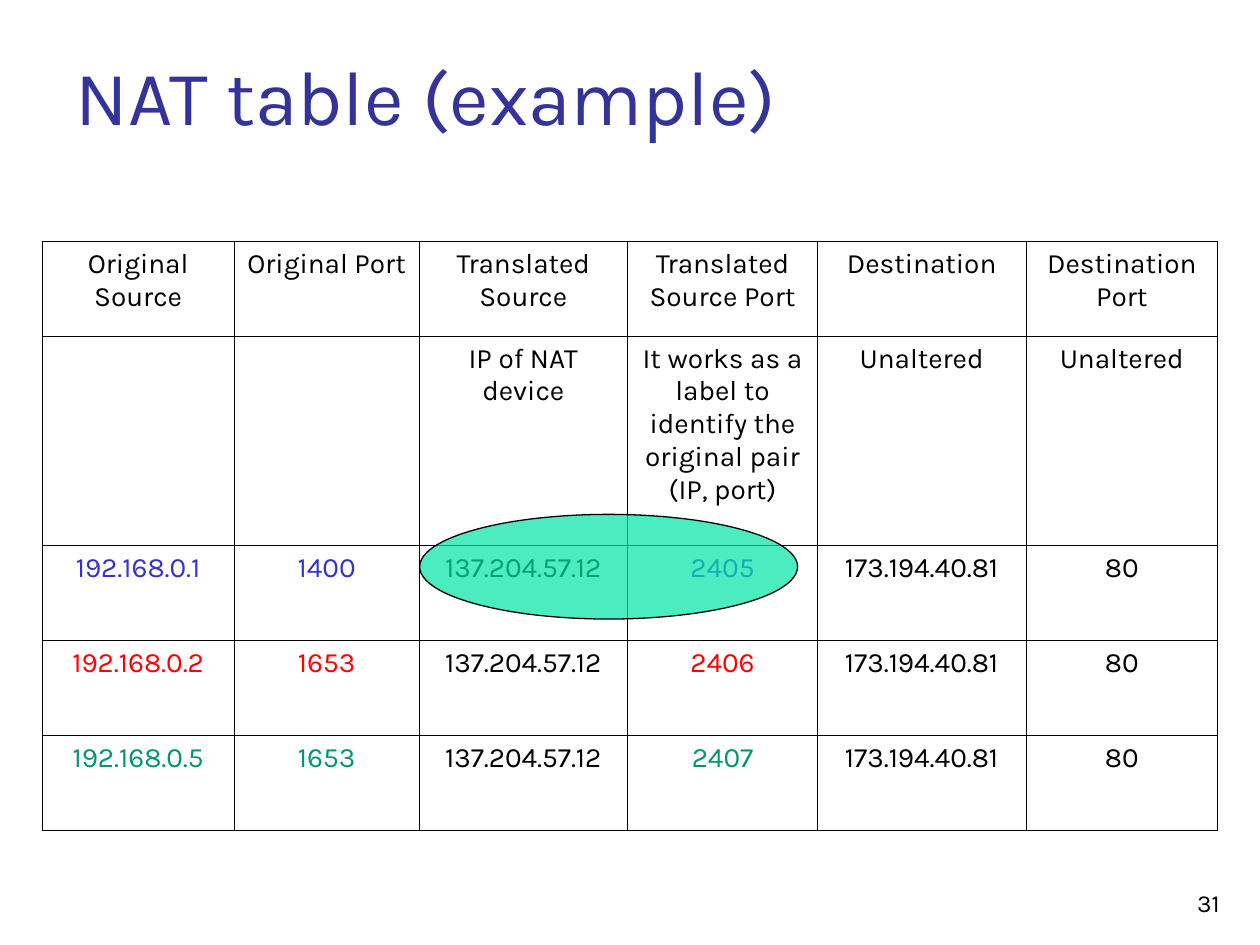
import pptx
import pptx.util
import pptx.dml.color
import pptx.enum.shapes
import pptx.enum.text
import pptx.oxml
import pptx.oxml.ns
from lxml import etree
from pptx.util import Cm

COLORS = {
    "title": "333399",
    "text": "000000",
    "blue": "3333CC",
    "red": "FF0000",
    "green": "00966F",
    "highlight": "00E4A8",
}
ALIGN = pptx.enum.text.PP_ALIGN
ANCHOR = pptx.enum.text.MSO_ANCHOR


def rgb(name):
    return pptx.dml.color.RGBColor.from_string(COLORS[name])


def write(frame, text, size=16, color="text", align=ALIGN.CENTER, anchor=ANCHOR.TOP):
    frame.word_wrap = True
    frame.vertical_anchor = anchor
    para = frame.paragraphs[0]
    para.alignment = align
    span = para.add_run()
    span.text = text
    span.font.name = "Karla"
    span.font.size = pptx.util.Pt(size)
    span.font.color.rgb = rgb(color)


deck = pptx.Presentation()
deck.slide_width, deck.slide_height = Cm(25.4), Cm(19.05)
page = deck.slides.add_slide(deck.slide_layouts[5])

# Title and page number
title = page.shapes.title
title.left, title.top, title.width, title.height = Cm(1.27), Cm(0.85), Cm(22.86), Cm(3.18)
title.text_frame.auto_size = pptx.enum.text.MSO_AUTO_SIZE.NONE
write(title.text_frame, "NAT table (example)", size=44, color="title", align=ALIGN.LEFT)

number_box = page.shapes.add_textbox(Cm(19.56), Cm(17.35), Cm(5.28), Cm(1.27))
write(number_box.text_frame, "31", size=14, align=ALIGN.RIGHT, anchor=ANCHOR.BOTTOM)

# Translation table: two heading rows, then one coloured row per connection
headings = [
    ["Original Source", "Original Port", "Translated Source",
     "Translated Source Port", "Destination", "Destination Port"],
    ["", "", "IP of NAT device",
     "It works as a label to identify the original pair (IP, port)",
     "Unaltered", "Unaltered"],
]
connections = [
    ("192.168.0.1", "1400", "2405", "blue"),
    ("192.168.0.2", "1653", "2406", "red"),
    ("192.168.0.5", "1653", "2407", "green"),
]
rows = [(texts, "text") for texts in headings]
for source, port, label, color in connections:
    rows.append(([source, port, "137.204.57.12", label, "173.194.40.81", "80"], color))

column_widths = [3.87, 3.73, 4.2, 3.83, 4.2, 3.87]
row_heights = [1.91, 4.22, 1.91, 1.91, 1.91]
colored_columns = (0, 1, 3)

table = page.shapes.add_table(
    len(rows), len(column_widths), Cm(0.85), Cm(4.87),
    Cm(sum(column_widths)), Cm(sum(row_heights))).table
table.first_row = False
table.horz_banding = False
for column, width in zip(table.columns, column_widths):
    column.width = Cm(width)
for row, height in zip(table.rows, row_heights):
    row.height = Cm(height)

for row_index, (texts, color) in enumerate(rows):
    for column_index, text in enumerate(texts):
        cell = table.cell(row_index, column_index)
        properties = cell._tc.get_or_add_tcPr()
        for side in ("lnL", "lnR", "lnT", "lnB"):
            properties.append(pptx.oxml.parse_xml(
                f'<a:{side} {pptx.oxml.ns.nsdecls("a")} w="{pptx.util.Pt(0.45)}">'
                f'<a:solidFill><a:srgbClr val="{COLORS["text"]}"/></a:solidFill></a:{side}>'))
        cell.fill.background()
        if text:
            write(cell.text_frame, text,
                  color=color if column_index in colored_columns else "text")

# Translucent highlight over the first translated pair
highlight = page.shapes.add_shape(
    pptx.enum.shapes.MSO_SHAPE.OVAL, Cm(8.46), Cm(10.37), Cm(7.62), Cm(2.11))
highlight.shadow.inherit = False
highlight.fill.solid()
highlight.fill.fore_color.rgb = rgb("highlight")
fill_color = highlight._element.spPr.find(".//" + pptx.oxml.ns.qn("a:srgbClr"))
etree.SubElement(fill_color, pptx.oxml.ns.qn("a:alpha"), val="70000")
highlight.line.color.rgb = rgb("text")
highlight.line.width = pptx.util.Pt(0.75)

deck.save("out.pptx")
